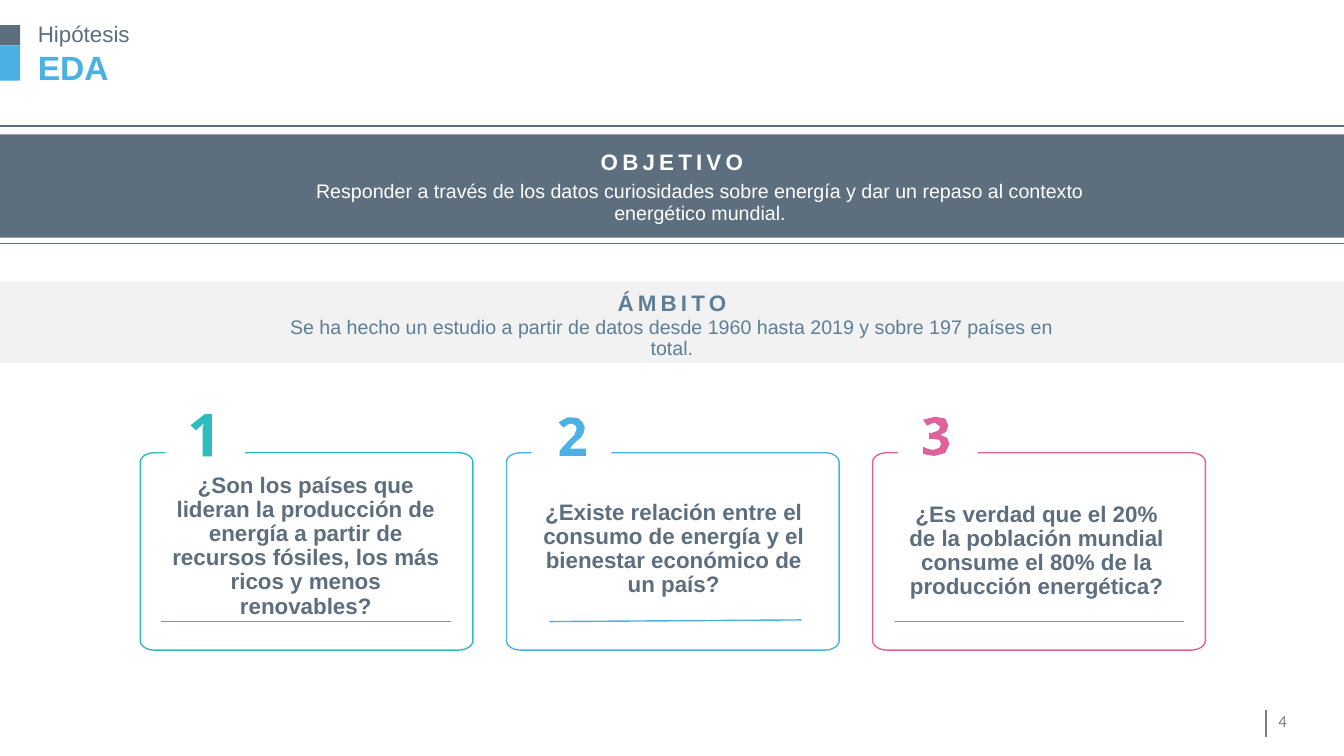
from math import cos, radians, sin

from lxml.etree import SubElement
from pptx import Presentation
from pptx.dml.color import RGBColor
from pptx.enum.shapes import MSO_CONNECTOR as Connector, MSO_SHAPE as Preset
from pptx.enum.text import MSO_ANCHOR as Anchor, PP_ALIGN as Align
from pptx.oxml.ns import qn
from pptx.util import Emu, Pt

# Grid of square cells: 160 columns by 90 rows
COLS, ROWS, CELL = 160, 90, 76200

SLATE = RGBColor(0x5D, 0x6E, 0x7F)
STEEL = RGBColor(0x5D, 0x7E, 0x95)
BLUE = RGBColor(0x4B, 0xB1, 0xE4)
TEAL = RGBColor(0x2E, 0xBD, 0xBC)
PINK = RGBColor(0xE0, 0x62, 0x9A)
PALE = RGBColor(0xF2, 0xF2, 0xF2)
GREY = RGBColor(0x80, 0x80, 0x80)
WHITE = RGBColor(0xFF, 0xFF, 0xFF)

# Card layout
CARD_LEFT, CARD_TOP, CARD_PITCH = 16.7, 53.9, 43.6
CARD_WIDTH, CARD_HEIGHT = 39.6, 23.5
CORNER_X, CORNER_Y = 1.7, 1.1
GAP_START, GAP_END = 3, 12.5

# Numeral outlines, in hundredths of an inch from their top left corner
HUNDREDTH = 0.12
ONE = [(21, 42), (12, 42), (12, 18), (12, 14), (13, 9), (10, 12), (5, 16),
       (0, 11), (14, 0), (21, 0)]
TWO = [(27, 38), (1, 38), (1, 33), (10, 23), (16, 17), (17, 14), (18, 11),
       (17, 8), (13, 6), (9, 7), (5, 10), (0, 5), (5, 2), (9, 0), (14, 0),
       (20, 1), (24, 5), (26, 10), (25, 15), (22, 20), (15, 26), (11, 31),
       (27, 31)]
THREE = [(25, 9), (23, 15), (17, 18), (24, 21), (26, 27), (22, 36), (11, 39),
         (5, 38), (0, 37), (0, 30), (5, 32), (10, 33), (16, 31), (18, 27),
         (16, 23), (9, 22), (6, 22), (6, 16), (9, 16), (15, 14), (17, 10),
         (12, 6), (8, 7), (4, 9), (0, 3), (12, 0), (22, 2)]

# Colour, numeral, its offset and top; question, its box; rule from and to
CARDS = [
    (TEAL, ONE, 6, 49.3,
     "¿Son los países que lideran la producción de energía a partir de "
     "recursos fósiles, los más ricos y menos renovables?",
     (2.5, 62.6, 34.4, 4.9), (2.5, 74), (37, 74)),
    (BLUE, TWO, 6.2, 49.7,
     "¿Existe relación entre el consumo de energía y el bienestar económico "
     "de un país?",
     (2.3, 58, 35.2, 14.8), (5.1, 74), (35.1, 73.8)),
    (PINK, THREE, 6, 49.6,
     "¿Es verdad que el 20% de la población mundial consume el 80% de la "
     "producción energética?",
     (2.3, 63.2, 34.4, 4.9), (2.7, 74), (37.1, 74)),
]


def cells(*counts):
    return [Emu(round(count * CELL)) for count in counts]


def add_band(slide, left, top, width, height, color):
    band = slide.shapes.add_shape(Preset.RECTANGLE,
                                  *cells(left, top, width, height))
    band.shadow.inherit = False
    band.fill.solid()
    band.fill.fore_color.rgb = color
    band.line.fill.background()


def add_rule(slide, start, end, color):
    rule = slide.shapes.add_connector(Connector.STRAIGHT, *cells(*start, *end))
    rule.line.color.rgb = color
    rule.line.width = Pt(1)
    SubElement(rule.element.spPr, qn("a:effectLst"))


def add_label(slide, box, words, size, color, bold=False, align=Align.CENTER,
              anchor=Anchor.MIDDLE, inset=True, before=10, tracking=None,
              font="Arial"):
    frame = slide.shapes.add_textbox(*cells(*box)).text_frame
    frame.word_wrap = True
    frame.vertical_anchor = anchor
    if not inset:
        frame.margin_left = frame.margin_right = 0
        frame.margin_top = frame.margin_bottom = 0
    frame.text = words
    line = frame.paragraphs[0]
    line.alignment = align
    line.line_spacing = 0.9
    line.space_before = Pt(before)
    run = line.runs[0]
    run.font.name = font
    run.font.size = Pt(size)
    run.font.bold = bold
    run.font.color.rgb = color
    if tracking:
        run.font._element.set("spc", str(tracking * 100))


def add_outline(slide, points, closed):
    spots = [cells(*point) for point in points]
    builder = slide.shapes.build_freeform(*spots[0])
    builder.add_line_segments(spots[1:], close=closed)
    outline = builder.convert_to_shape()
    outline.shadow.inherit = False
    return outline


def add_numeral(slide, left, top, glyph, color):
    numeral = add_outline(slide, [(left + x * HUNDREDTH, top + y * HUNDREDTH)
                                  for x, y in glyph], True)
    numeral.fill.solid()
    numeral.fill.fore_color.rgb = color
    numeral.line.fill.background()


def add_frame(slide, left, color):
    """Rounded frame, open at the top where the numeral stands."""
    near_x, far_x = left + CORNER_X, left + CARD_WIDTH - CORNER_X
    near_y, far_y = CARD_TOP + CORNER_Y, CARD_TOP + CARD_HEIGHT - CORNER_Y
    corners = [(far_x, near_y, -90), (far_x, far_y, 0),
               (near_x, far_y, 90), (near_x, near_y, 180)]
    arcs = [(x + CORNER_X * cos(radians(start + turn)),
             y + CORNER_Y * sin(radians(start + turn)))
            for x, y, start in corners for turn in range(0, 91, 15)]
    frame = add_outline(slide, [(left + GAP_END, CARD_TOP), *arcs,
                                (left + GAP_START, CARD_TOP)], False)
    frame.fill.background()
    frame.line.color.rgb = color
    frame.line.width = Pt(1)


def add_card(slide, left, color, glyph, offset, top, question, box, start, end):
    add_frame(slide, left, color)
    add_numeral(slide, left + offset, top, glyph, color)
    add_label(slide, (left + box[0], *box[1:]), question, 16, SLATE, bold=True)
    add_rule(slide, (left + start[0], start[1]), (left + end[0], end[1]), color)


def main():
    deck = Presentation()
    deck.slide_width, deck.slide_height = cells(COLS, ROWS)
    slide = deck.slides.add_slide(deck.slide_layouts[6])

    # Page number
    add_label(slide, (151, 83.6, 6.4, 4.8), "4", 12, GREY, align=Align.LEFT,
              before=0, font="Calibri")
    add_rule(slide, (150.7, 84.5), (150.7, 87.7), GREY)

    # Heading
    add_band(slide, 0, 3, 2.4, 2.4, SLATE)
    add_band(slide, 0, 5.4, 2.4, 4.2, BLUE)
    add_label(slide, (4.5, 6.1, 110.5, 3.6), "EDA", 24, BLUE, bold=True,
              align=Align.LEFT, anchor=Anchor.TOP, inset=False, before=0)
    add_label(slide, (4.5, 3, 110.5, 2.4), "Hipótesis", 16, SLATE,
              align=Align.LEFT, inset=False)

    # Objective
    add_band(slide, 0, 16, COLS, 12.3, SLATE)
    for row in (15, 29):
        add_rule(slide, (0, row), (COLS, row), SLATE)
    add_label(slide, (30.8, 16, 98.4, 5.5), "OBJETIVO", 16, WHITE, bold=True,
              anchor=Anchor.BOTTOM, tracking=3)
    add_label(slide, (30.8, 20.6, 105.1, 7.2),
              "Responder a través de los datos curiosidades sobre energía y "
              "dar un repaso al contexto energético mundial.", 14, WHITE)

    # Scope
    add_band(slide, 0, 33.5, COLS, 9.7, PALE)
    add_label(slide, (30.8, 33.6, 98.4, 4.7), "ÁMBITO", 16, STEEL, bold=True,
              anchor=Anchor.BOTTOM, tracking=3)
    add_label(slide, (30.8, 37.7, 98.4, 5.2),
              "Se ha hecho un estudio a partir de datos desde 1960 hasta 2019 "
              "y sobre 197 países en total.", 14, STEEL)

    # Questions
    for index, card in enumerate(CARDS):
        add_card(slide, CARD_LEFT + index * CARD_PITCH, *card)

    deck.save("out.pptx")


if __name__ == "__main__":
    main()
